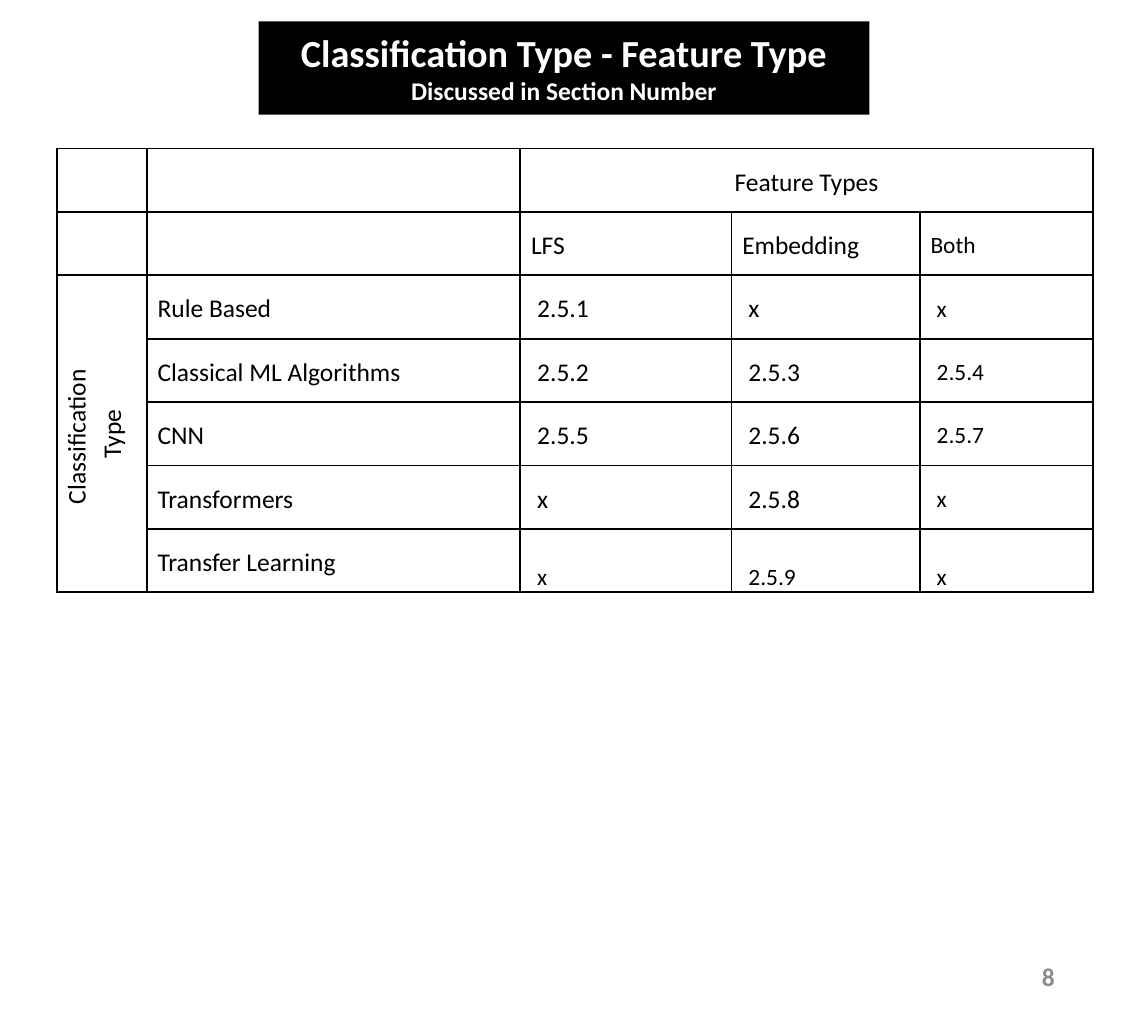
from pptx import Presentation
from pptx.dml.color import RGBColor
from pptx.enum.text import MSO_ANCHOR, MSO_AUTO_SIZE, PP_ALIGN
from pptx.oxml import parse_xml
from pptx.oxml.ns import nsdecls
from pptx.util import Inches, Pt

BLACK = RGBColor(0, 0, 0)
WHITE = RGBColor(255, 255, 255)
GRAY = RGBColor(0x8C, 0x8C, 0x8C)
FONT = "Calibri"
LEFT, CENTER, RIGHT = PP_ALIGN.LEFT, PP_ALIGN.CENTER, PP_ALIGN.RIGHT
TOP, MIDDLE, BOTTOM = MSO_ANCHOR.TOP, MSO_ANCHOR.MIDDLE, MSO_ANCHOR.BOTTOM
NO_FIT = MSO_AUTO_SIZE.NONE

TITLE = [("Classification Type - Feature Type", 18), ("Discussed in Section Number", 12)]
PAGE_NUMBER = "8"
ROWS = [
    ["", "", "Feature Types", "", ""],
    ["", "", "LFS", "Embedding", "Both"],
    ["Classification \nType", "Rule Based", "2.5.1", "x", "x"],
    ["", "Classical ML Algorithms", "2.5.2", "2.5.3", "2.5.4"],
    ["", "CNN", "2.5.5", "2.5.6", "2.5.7"],
    ["", "Transformers", "x", "2.5.8", "x"],
    ["", "Transfer Learning", "x", "2.5.9", "x"],
]
MERGES = [((0, 2), (0, 4)), ((2, 0), (6, 0))]
COLUMN_WIDTHS = [0.59, 2.44, 1.38, 1.23, 1.13]
TABLE_LEFT, TABLE_TOP, TABLE_HEIGHT = 0.37, 0.97, 2.9
CELL_MARGIN, VALUE_MARGIN = 0.07, 0.11


def write(para, text, size, color, align, bold=False):
    """Add text to a paragraph, with line breaks between its lines."""
    para.alignment = align
    for index, line in enumerate(text.split("\n")):
        if index:
            para.add_line_break()
        span = para.add_run()
        span.text = line
        span.font.name = FONT
        span.font.size = Pt(size)
        span.font.bold = bold
        span.font.color.rgb = color


def add_borders(cell):
    """Draw a black one-point line on each side of a cell."""
    properties = cell._tc.get_or_add_tcPr()
    for index, side in enumerate(("lnL", "lnR", "lnT", "lnB")):
        properties.insert(index, parse_xml(
            f'<a:{side} {nsdecls("a")} w="{Pt(1)}"><a:solidFill>'
            f'<a:srgbClr val="{BLACK}"/></a:solidFill></a:{side}>'))


def add_title(page):
    """Format the title placeholder as a black banner."""
    box = page.shapes.title
    box.left, box.top = Inches(1.69), Inches(0.14)
    box.width, box.height = Inches(3.99), Inches(0.61)
    box.fill.solid()
    box.fill.fore_color.rgb = BLACK
    frame = box.text_frame
    frame.auto_size = NO_FIT
    frame.vertical_anchor = TOP
    for index, (text, size) in enumerate(TITLE):
        para = frame.add_paragraph() if index else frame.paragraphs[0]
        write(para, text, size, WHITE, CENTER, bold=True)


def add_section_table(page):
    """Build the table of section numbers."""
    table = page.shapes.add_table(
        len(ROWS), len(COLUMN_WIDTHS), Inches(TABLE_LEFT), Inches(TABLE_TOP),
        Inches(sum(COLUMN_WIDTHS)), Inches(TABLE_HEIGHT)).table
    table.first_row = table.horz_banding = False
    for column, width in zip(table.columns, COLUMN_WIDTHS):
        column.width = Inches(width)
    for start, end in MERGES:
        table.cell(*start).merge(table.cell(*end))
    last_row, last_column = len(ROWS) - 1, len(COLUMN_WIDTHS) - 1
    for r, row in enumerate(ROWS):
        for c, text in enumerate(row):
            cell = table.cell(r, c)
            is_value = r > 1 and c > 1
            at_bottom = is_value and r == last_row
            cell.fill.background()
            add_borders(cell)
            cell.margin_left = Inches(VALUE_MARGIN if is_value else CELL_MARGIN)
            cell.margin_right = Inches(CELL_MARGIN)
            cell.margin_top = cell.margin_bottom = 0
            cell.vertical_anchor = BOTTOM if at_bottom else MIDDLE
            if text:
                size = 11 if at_bottom or c == last_column else 12
                para = cell.text_frame.paragraphs[0]
                para.line_spacing = 1.15
                write(para, text, size, BLACK, CENTER if cell.is_merge_origin else LEFT)
    table.cell(2, 0)._tc.get_or_add_tcPr().set("vert", "vert270")


def add_page_number(page):
    """Put the page number at the lower right."""
    box = page.shapes.add_textbox(Inches(5.3), Inches(6.2), Inches(1.69), Inches(0.36))
    box.text_frame.word_wrap = True
    box.text_frame.vertical_anchor = MIDDLE
    write(box.text_frame.paragraphs[0], PAGE_NUMBER, 12, GRAY, RIGHT, bold=True)


def main():
    """Build and save the slide."""
    deck = Presentation()
    deck.slide_width, deck.slide_height = Inches(7.5), Inches(6.69)
    page = deck.slides.add_slide(deck.slide_layouts[5])
    add_title(page)
    add_section_table(page)
    add_page_number(page)
    deck.save("out.pptx")


if __name__ == "__main__":
    main()
